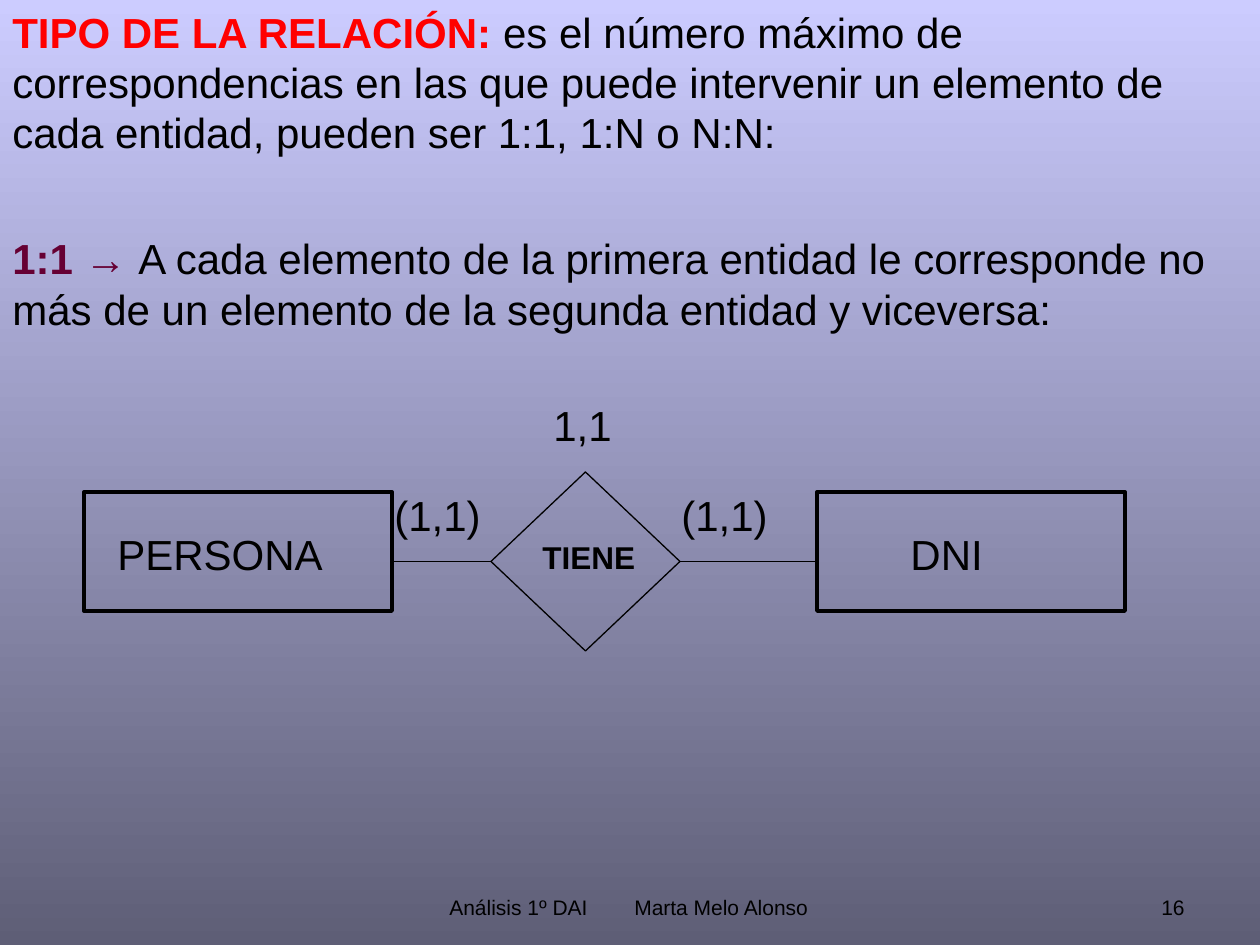
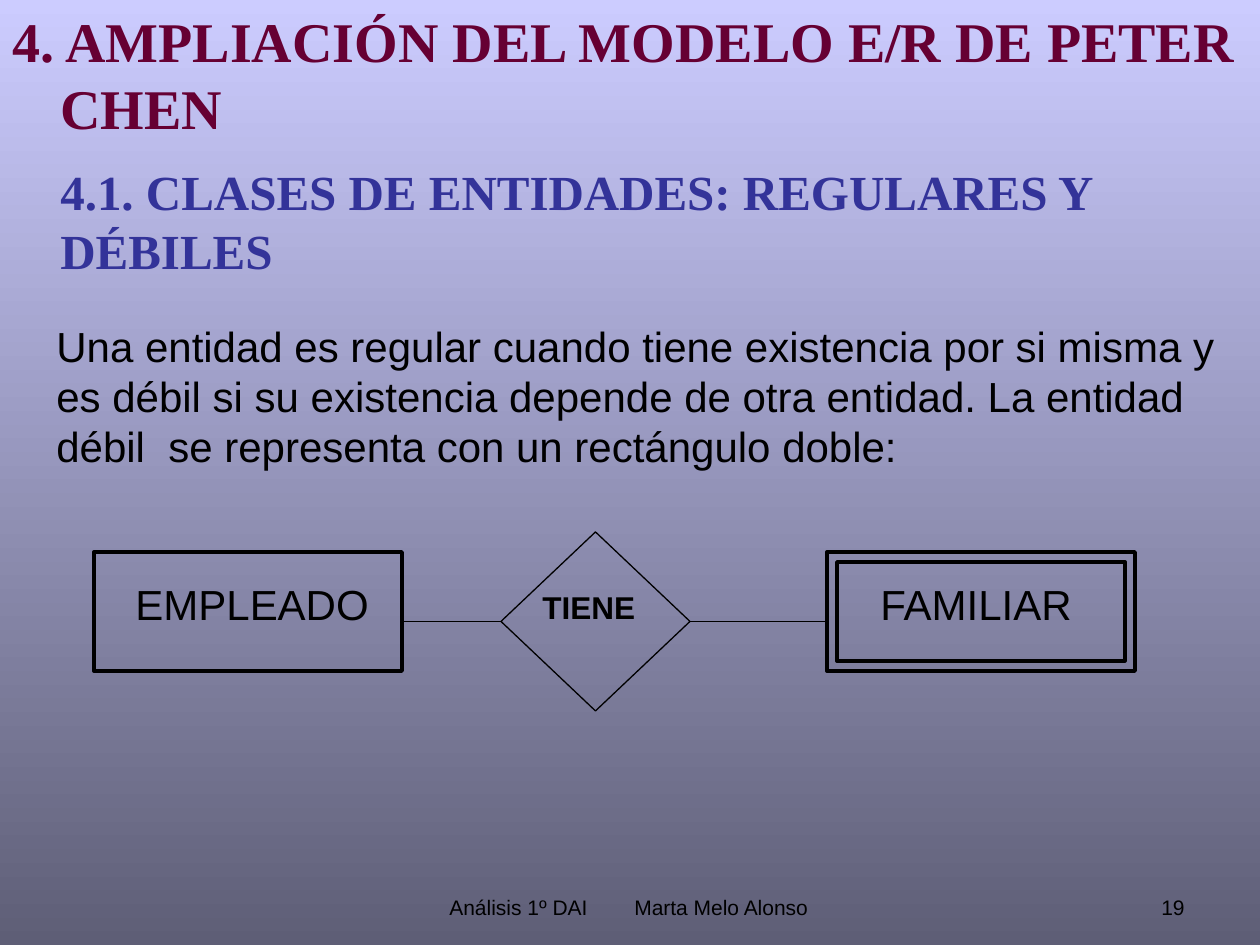
from lxml import etree
from pptx import Presentation
from pptx.dml.color import RGBColor
from pptx.enum.shapes import MSO_CONNECTOR, MSO_SHAPE
from pptx.enum.text import MSO_ANCHOR, PP_ALIGN
from pptx.oxml.ns import qn
from pptx.util import Pt

SCALE = 914400 / 126
STRAIGHT = MSO_CONNECTOR.STRAIGHT
RECTANGLE, DIAMOND = MSO_SHAPE.RECTANGLE, MSO_SHAPE.DIAMOND
TOP, BOTTOM = MSO_ANCHOR.TOP, MSO_ANCHOR.BOTTOM
LEFT, RIGHT = PP_ALIGN.LEFT, PP_ALIGN.RIGHT

BLACK, RED, WINE, BLUE = "000000", "FF0000", "660033", "333399"
SKY, SLATE = "CCCCFF", "5E5E76"
SANS, SERIF = "Arial", "Times New Roman"
FOOTER = "Análisis 1º DAI\tMarta Melo Alonso"
FOOTER_TAB = 185
HANGING = 48
ENTITY_SIZE = (308, 119)
ENTITY_STEP = 733
DIAMOND_LEFT, DIAMOND_TOP, DIAMOND_SIZE = 407, -20, (189, 179)
DOUBLE_GAP = 10

SLIDES = [
    {
        "number": 16,
        "texts": [
            {"at": (0, 0, 1260, 442), "gap": 43, "paragraphs": [
                [("TIPO DE LA RELACIÓN: ", RED, True),
                 ("es el número máximo de correspondencias en las que puede intervenir "
                  "un elemento de cada entidad, pueden ser 1:1, 1:N o N:N:", BLACK, False)],
                [("1:1 → ", WINE, True),
                 ("A cada elemento de la primera entidad le corresponde no más de un "
                  "elemento de la segunda entidad y viceversa:", BLACK, False)],
            ]},
        ],
        "origin": (84, 492),
        "weak": False,
        "labels": [("PERSONA", 105, 522, 268), ("DNI", 898, 522, 258),
                   ("(1,1)", 382, 483, 128), ("(1,1)", 669, 483, 128),
                   ("1,1", 541, 393, 128)],
        "relation": ("TIENE", 530, 532, 169),
    },
    {
        "number": 19,
        "texts": [
            {"at": (0, 0, 1260, 147), "size": 32, "font": SERIF, "hanging": HANGING,
             "paragraphs": [[("4. AMPLIACIÓN DEL MODELO E/R DE PETER CHEN", WINE, True)]]},
            {"at": (HANGING, 155, 1260 - HANGING, 131), "size": 28, "font": SERIF,
             "paragraphs": [[("4.1. CLASES DE ENTIDADES: REGULARES Y DÉBILES", BLUE, True)]]},
            {"at": (44, 314, 1196, 265), "paragraphs": [
                [("Una entidad es regular cuando tiene existencia por si misma y es débil "
                  "si su existencia depende de otra entidad. La entidad débil  se representa "
                  "con un rectángulo doble:", BLACK, False)]]},
        ],
        "origin": (94, 552),
        "weak": True,
        "labels": [("EMPLEADO", 123, 572, 297), ("FAMILIAR", 868, 572, 278)],
        "relation": ("TIENE", 530, 582, 228),
    },
]


def px(*lengths):
    return [round(length * SCALE) for length in lengths]


def color(value):
    return RGBColor.from_string(value)


def add_text(page, at, paragraphs, size=24, font=SANS, gap=0, hanging=0,
             align=LEFT, anchor=TOP):
    frame = page.shapes.add_textbox(*px(*at)).text_frame
    frame.word_wrap = True
    frame.vertical_anchor = anchor
    for index, spans in enumerate(paragraphs):
        para = frame.add_paragraph() if index else frame.paragraphs[0]
        para.alignment = align
        para.font.size = Pt(size)
        para.font.name = font
        if index:
            para.space_before = Pt(gap)
        if hanging:
            indent = px(hanging)[0]
            properties = para._p.get_or_add_pPr()
            properties.set("marL", str(indent))
            properties.set("indent", str(-indent))
        for text, tint, bold in spans:
            span = para.add_run()
            span.text = text
            span.font.bold = bold
            span.font.color.rgb = color(tint)
    return frame


def add_outline(page, kind, left, top, size, weight):
    box = page.shapes.add_shape(kind, *px(left, top, *size))
    box.shadow.inherit = False
    box.fill.background()
    box.line.color.rgb = color(BLACK)
    box.line.width = Pt(weight)


def add_link(page, start, end, y):
    link = page.shapes.add_connector(STRAIGHT, *px(start, y, end, y))
    link.line.color.rgb = color(BLACK)
    link.line.width = Pt(0.75)
    etree.SubElement(link._element.spPr, qn("a:effectLst"))


def add_diagram(page, content):
    left, top = content["origin"]
    width, height = ENTITY_SIZE
    second = left + ENTITY_STEP
    diamond = left + DIAMOND_LEFT
    middle = top + DIAMOND_TOP + DIAMOND_SIZE[1] / 2
    for entity in (left, second):
        add_outline(page, RECTANGLE, entity, top, ENTITY_SIZE, 2.25)
    if content["weak"]:
        inner = (width - 2 * DOUBLE_GAP, height - 2 * DOUBLE_GAP)
        add_outline(page, RECTANGLE, second + DOUBLE_GAP, top + DOUBLE_GAP, inner, 2)
    add_outline(page, DIAMOND, diamond, top + DIAMOND_TOP, DIAMOND_SIZE, 0.75)
    add_link(page, left + width, diamond, middle)
    add_link(page, diamond + DIAMOND_SIZE[0], second, middle)
    for text, x, y, wide in content["labels"]:
        add_text(page, (x, y, wide, 63), [[(text, BLACK, False)]])
    text, x, y, wide = content["relation"]
    add_text(page, (x, y, wide, 50), [[(text, BLACK, True)]], size=18)


def add_background(page):
    fill = page.background.fill
    fill.gradient()
    fill.gradient_angle = 270
    for stop, tint, position in zip(fill.gradient_stops, (SKY, SLATE), (0, 1)):
        stop.color.rgb = color(tint)
        stop.position = position


def add_footer(page, number):
    frame = add_text(page, (437, 861, 393, 65), [[(FOOTER, BLACK, False)]],
                     size=12, anchor=BOTTOM)
    properties = frame.paragraphs[0]._p.get_or_add_pPr()
    tabs = etree.Element(qn("a:tabLst"))
    etree.SubElement(tabs, qn("a:tab"), pos=str(px(FOOTER_TAB)[0]), algn="l")
    properties.insert(0, tabs)
    add_text(page, (903, 861, 294, 65), [[(str(number), BLACK, False)]],
             size=12, align=RIGHT, anchor=BOTTOM)


def main():
    deck = Presentation()
    deck.slide_width, deck.slide_height = px(1260, 945)
    for content in SLIDES:
        page = deck.slides.add_slide(deck.slide_layouts[6])
        add_background(page)
        for text in content["texts"]:
            add_text(page, **text)
        add_diagram(page, content)
        add_footer(page, content["number"])
    deck.save("out.pptx")


if __name__ == "__main__":
    main()
